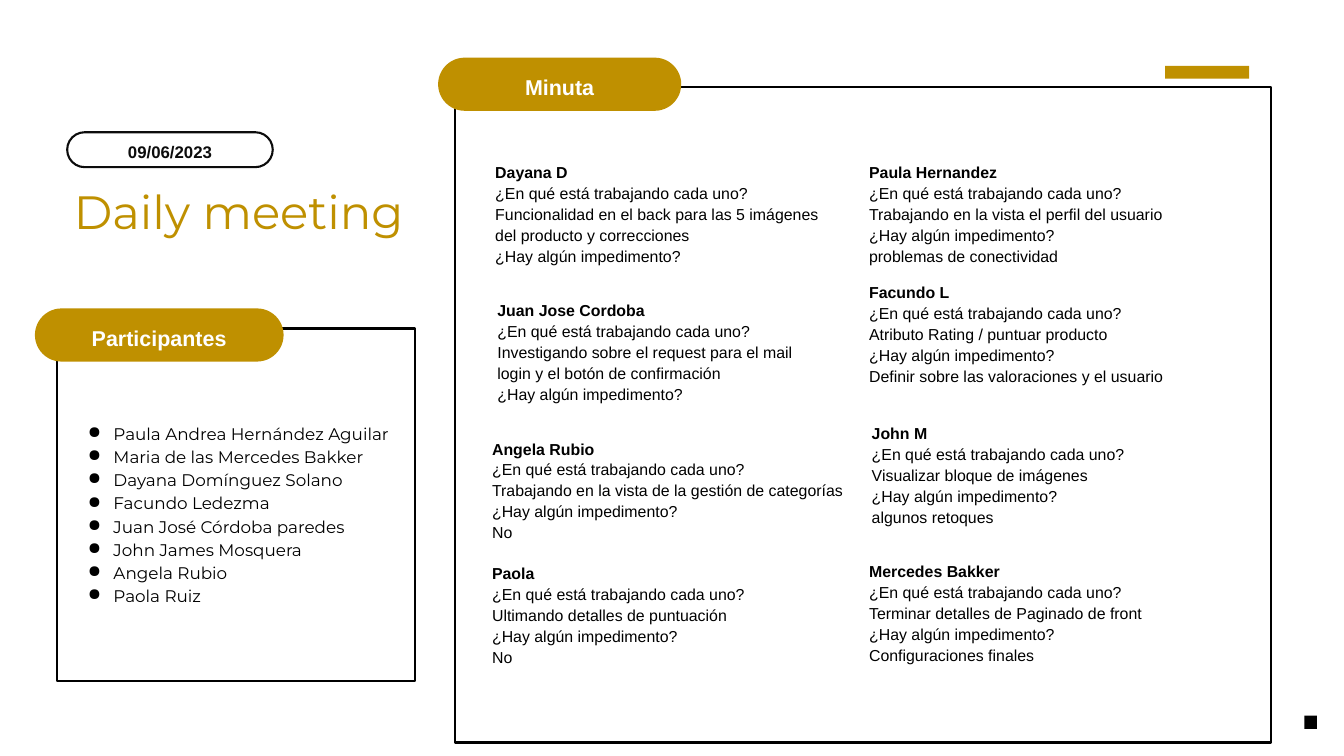
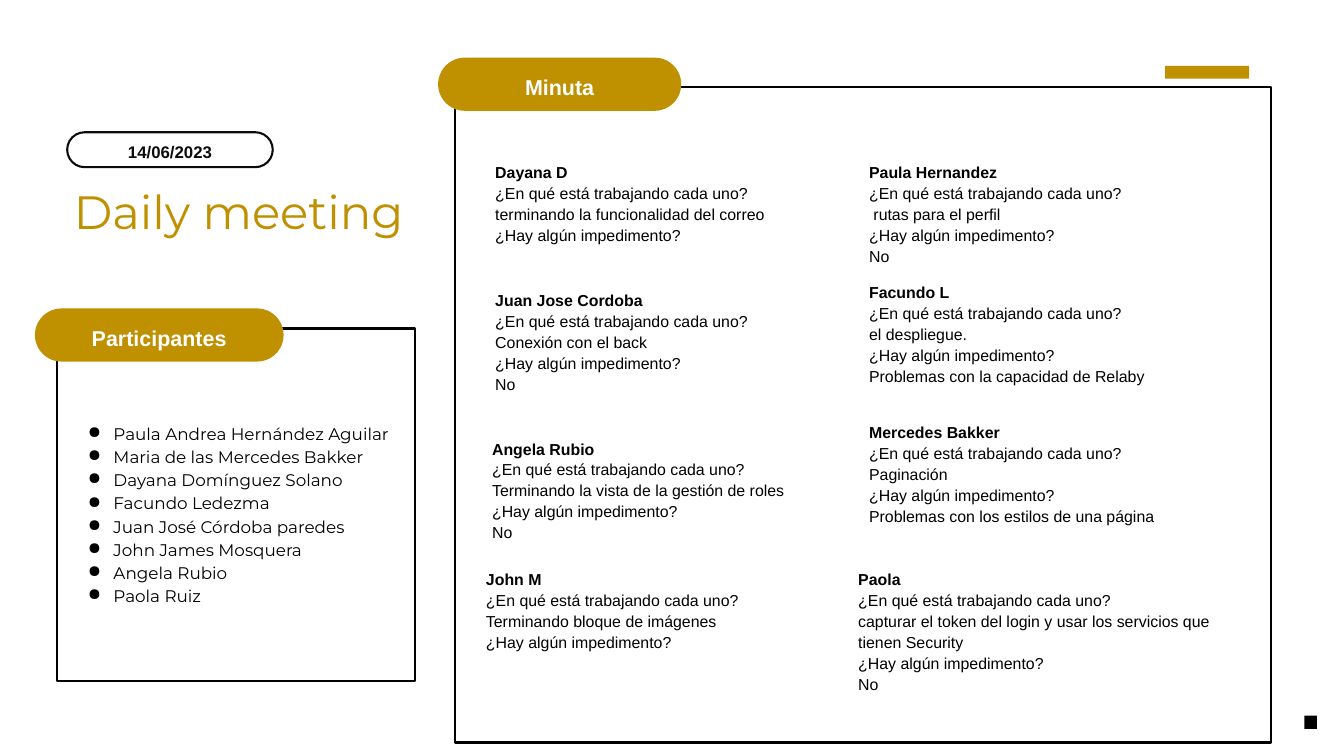
from typing import NamedTuple

from lxml import etree
from pptx import Presentation
from pptx.dml.color import RGBColor
from pptx.enum.shapes import MSO_SHAPE
from pptx.enum.text import MSO_ANCHOR, PP_ALIGN
from pptx.oxml.ns import qn
from pptx.util import Cm, Pt

GOLD = RGBColor(0xBF, 0x90, 0x00)
BLACK = RGBColor(0x00, 0x00, 0x00)
INK = RGBColor(0x0C, 0x0C, 0x0C)
WHITE = RGBColor(0xFF, 0xFF, 0xFF)

BODY_FONT = "Arial"
TITLE_FONT = "Montserrat"

RECTANGLE = MSO_SHAPE.RECTANGLE
PILL = MSO_SHAPE.ROUNDED_RECTANGLE
FRAME = MSO_SHAPE.ROUND_2_SAME_RECTANGLE
LEFT, CENTER = PP_ALIGN.LEFT, PP_ALIGN.CENTER
TOP, MIDDLE = MSO_ANCHOR.TOP, MSO_ANCHOR.MIDDLE

BLANK_LAYOUT = 6
NOTE_HEIGHT = 3.94
WORK_QUESTION = "¿En qué está trabajando cada uno?"
BLOCKER_QUESTION = "¿Hay algún impedimento?"


class Box(NamedTuple):
    """A region in centimetres."""
    left: float
    top: float
    width: float
    height: float

    def inner(self, left, top, width, height):
        """Return a box placed relative to the corner of this one."""
        return Box(self.left + left, self.top + top, width, height)

    def lengths(self):
        return [Cm(value) for value in self]


class Note(NamedTuple):
    """What one person reports, placed relative to the minutes frame."""
    name: str
    left: float
    top: float
    width: float
    work: str
    blocker: str = ""
    height: float = NOTE_HEIGHT


HEADER = Box(2.54, 5, 13.54, 4.04)
PARTICIPANTS_FRAME = Box(2.16, 12.42, 13.54, 13.31)
MINUTES_FRAME = Box(17.2, 3.3, 30.84, 24.77)
ACCENT_BAR = Box(44.04, 2.49, 3.18, 0.48)
CORNER_MARK = Box(49.3, 27.05, 0.48, 0.51)

PARTICIPANTS = [
    "Paula Andrea Hernández Aguilar",
    "Maria de las Mercedes Bakker",
    "Dayana Domínguez Solano",
    "Facundo Ledezma",
    "Juan José Córdoba paredes",
    "John James Mosquera",
    "Angela Rubio",
    "Paola Ruiz",
]

MEETINGS = {
    "09/06/2023": [
        Note("Mercedes Bakker", 15.65, 17.86, 13.36,
             "Terminar detalles de Paginado de front", "Configuraciones finales"),
        Note("Paula Hernandez", 15.65, 2.79, 15.32,
             "Trabajando en la vista el perfil del usuario",
             "problemas de conectividad"),
        Note("Dayana D", 1.52, 2.79, 13.06,
             "Funcionalidad en el back para las 5 imágenes del producto "
             "y correcciones"),
        Note("Facundo L", 15.65, 7.32, 15.09,
             "Atributo Rating / puntuar producto",
             "Definir sobre las valoraciones y el usuario"),
        Note("John M", 15.75, 12.65, 14.1,
             "Visualizar bloque de imágenes", "algunos retoques"),
        Note("Juan Jose Cordoba", 1.6, 8, 12.55,
             "Investigando sobre el request para el mail login y el botón "
             "de confirmación"),
        Note("Angela Rubio", 1.4, 13.23, 13.36,
             "Trabajando en la vista de la gestión de categorías", "No", 4.72),
        Note("Paola", 1.4, 17.93, 13.36,
             "Ultimando detalles de puntuación", "No"),
    ],
    "14/06/2023": [
        Note("Mercedes Bakker", 15.65, 12.6, 13.36,
             "Paginación", "Problemas con los estilos de una página"),
        Note("Paula Hernandez", 15.65, 2.79, 15.32, " rutas para el perfil", "No"),
        Note("Dayana D", 1.52, 2.79, 13.06,
             "terminando la funcionalidad del correo"),
        Note("Facundo L", 15.65, 7.32, 15.09,
             "el despliegue.", "Problemas con la capacidad de Relaby"),
        Note("Juan Jose Cordoba", 1.52, 7.62, 12.55, "Conexión con el back", "No"),
        Note("Angela Rubio", 1.4, 13.23, 13.36,
             "Terminando la vista de la gestión de roles", "No", 4.72),
        Note("John M", 1.17, 18.16, 14.1, "Terminando bloque de imágenes"),
        Note("Paola", 15.24, 18.16, 13.36,
             "capturar el token del login y usar los servicios que tienen Security",
             "No", 4.72),
    ],
}


def add_shape(slide, preset, box, fill=None, line=None, adjustments=()):
    shape = slide.shapes.add_shape(preset, *box.lengths())
    shape.shadow.inherit = False
    for index, value in enumerate(adjustments):
        shape.adjustments[index] = value
    if fill is None:
        shape.fill.background()
    else:
        shape.fill.solid()
        shape.fill.fore_color.rgb = fill
    if line is None:
        shape.line.fill.background()
    else:
        shape.line.color.rgb = line
        shape.line.width = Pt(2.25)


def add_bullet(paragraph):
    properties = paragraph._p.get_or_add_pPr()
    properties.set("marL", str(Cm(1.27)))
    properties.set("indent", str(Cm(-0.97)))
    color = etree.SubElement(properties, qn("a:buClr"))
    etree.SubElement(color, qn("a:srgbClr"), val=str(BLACK))
    etree.SubElement(properties, qn("a:buChar"), char="●")


def add_text(slide, box, lines, *, size, font=BODY_FONT, color=BLACK, bold=False,
             bold_first=False, align=LEFT, anchor=TOP, spacing=1.1, inset=0,
             bullets=False):
    """Write one paragraph for each line."""
    frame = slide.shapes.add_textbox(*box.lengths()).text_frame
    frame.word_wrap = True
    frame.vertical_anchor = anchor
    frame.margin_left = frame.margin_right = Cm(inset)
    frame.margin_top = frame.margin_bottom = Cm(inset)
    for index, line in enumerate(lines):
        paragraph = frame.add_paragraph() if index else frame.paragraphs[0]
        paragraph.alignment = align
        paragraph.line_spacing = spacing
        if bullets:
            add_bullet(paragraph)
        run = paragraph.add_run()
        run.text = line
        run.font.name = font
        run.font.size = Pt(size)
        run.font.color.rgb = color
        run.font.bold = bold or (bold_first and index == 0)


def add_panel(slide, box, label, tab):
    """Draw a frame with a labelled tab over its upper left corner."""
    add_shape(slide, FRAME, box, line=BLACK, adjustments=(0, 0))
    add_shape(slide, PILL, tab, fill=GOLD, adjustments=(0.5,))
    label_width = 6.6
    label_box = tab.inner((tab.width - label_width) / 2, 0.52, label_width, 0.99)
    add_text(slide, label_box, [label], size=23, color=WHITE, bold=True, align=CENTER)


def add_header(slide, box, date):
    add_text(slide, box.inner(0, 1.91, box.width, 2.13), ["Daily meeting"], size=50,
             font=TITLE_FONT, color=GOLD, anchor=MIDDLE, spacing=1.0, inset=0.25)
    add_shape(slide, PILL, box.inner(0, 0, 7.77, 1.32), fill=WHITE, line=INK,
              adjustments=(0.5,))
    add_text(slide, box.inner(0.43, 0.03, 6.91, 1.27), [date], size=18, color=INK,
             bold=True, align=CENTER, inset=0.25)


def add_participants(slide, box):
    add_panel(slide, box, "Participantes", box.inner(-0.84, -0.76, 9.4, 2.01))
    add_text(slide, box.inner(0.86, 3.48, 11.81, 7.8), PARTICIPANTS, size=18,
             font=TITLE_FONT, spacing=1.15, bullets=True)


def add_minutes(slide, box, notes):
    add_panel(slide, box, "Minuta", box.inner(-0.64, -1.12, 9.19, 2.01))
    for note in notes:
        lines = [note.name, WORK_QUESTION, note.work, BLOCKER_QUESTION]
        if note.blocker:
            lines.append(note.blocker)
        note_box = box.inner(note.left, note.top, note.width, note.height)
        add_text(slide, note_box, lines, size=17, bold_first=True)


def add_meeting_slide(presentation, date, notes):
    slide = presentation.slides.add_slide(presentation.slide_layouts[BLANK_LAYOUT])
    add_shape(slide, RECTANGLE, CORNER_MARK, fill=BLACK)
    add_header(slide, HEADER, date)
    add_participants(slide, PARTICIPANTS_FRAME)
    add_shape(slide, RECTANGLE, ACCENT_BAR, fill=GOLD)
    add_minutes(slide, MINUTES_FRAME, notes)


def main():
    presentation = Presentation()
    presentation.slide_width = Cm(50.8)
    presentation.slide_height = Cm(28.58)
    for date, notes in MEETINGS.items():
        add_meeting_slide(presentation, date, notes)
    presentation.save("out.pptx")


if __name__ == "__main__":
    main()
